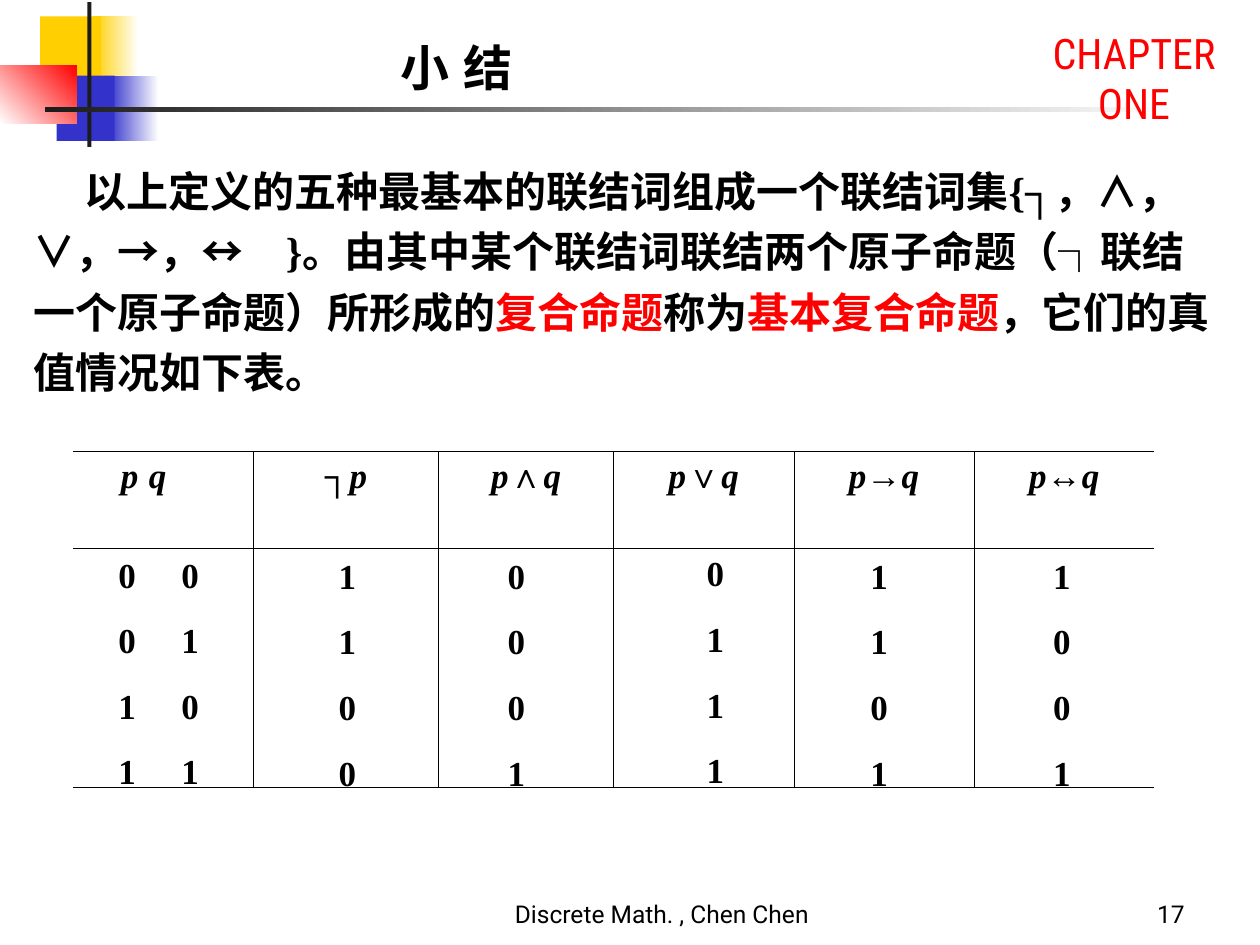
from typing import NamedTuple, Optional

from lxml.etree import SubElement
from pptx import Presentation
from pptx.dml.color import RGBColor
from pptx.enum.shapes import MSO_SHAPE
from pptx.enum.text import MSO_ANCHOR, MSO_AUTO_SIZE, PP_ALIGN
from pptx.oxml.ns import qn
from pptx.util import Pt

COLORS = {
    "black": "000000", "white": "FFFFFF", "red": "FF0000",
    "yellow": "FFCF01", "blue": "3333CC", "ink": "1C1C1C",
}
SERIF, SANS, CONDENSED = "Times New Roman", "Roboto", "Roboto Condensed"


class Box(NamedTuple):
    left: float
    top: float
    width: float
    height: float


class Block(NamedTuple):
    box: Box
    start: str
    end: Optional[str] = None
    angle: float = 0


class TruthColumn(NamedTuple):
    box: Box
    values: list[str]


def rgb(name: str) -> RGBColor:
    return RGBColor.from_string(COLORS[name])


def lengths(box: Box) -> list[Pt]:
    return [Pt(value) for value in box]


def style(paragraph, font: str, size: float, color: str = "black",
          bold: bool = False, italic: bool = False) -> None:
    paragraph.font.name = font
    paragraph.font.size = Pt(size)
    paragraph.font.color.rgb = rgb(color)
    paragraph.font.bold = bold
    paragraph.font.italic = italic


def set_layout(paragraph, tab: Optional[float] = None, indent: float = 0) -> None:
    """Remove the bullet, indent the first line and set one tab stop."""
    properties = paragraph._p.get_or_add_pPr()
    properties.set("marL", "0")
    properties.set("indent", str(Pt(indent)))
    SubElement(properties, qn("a:buNone"))
    if tab is not None:
        stops = SubElement(properties, qn("a:tabLst"))
        SubElement(stops, qn("a:tab"), pos=str(Pt(tab)), algn="l")


def place(placeholder, box: Box):
    placeholder.left, placeholder.top, placeholder.width, placeholder.height = lengths(box)
    frame = placeholder.text_frame
    frame.auto_size = MSO_AUTO_SIZE.NONE
    frame.vertical_anchor = MSO_ANCHOR.TOP
    return frame


def add_block(slide, block: Block) -> None:
    shape = slide.shapes.add_shape(MSO_SHAPE.RECTANGLE, *lengths(block.box))
    shape.shadow.inherit = False
    shape.line.fill.background()
    if block.end is None:
        shape.fill.solid()
        shape.fill.fore_color.rgb = rgb(block.start)
    else:
        shape.fill.gradient()
        shape.fill.gradient_angle = block.angle
        for stop, color in zip(shape.fill.gradient_stops, (block.start, block.end)):
            stop.color.rgb = rgb(color)


def add_label(slide, box: Box, text: str, font: str, size: float, color: str,
              align: PP_ALIGN, anchor: MSO_ANCHOR) -> None:
    frame = slide.shapes.add_textbox(*lengths(box)).text_frame
    frame.word_wrap = True
    frame.vertical_anchor = anchor
    frame.text = text
    frame.paragraphs[0].alignment = align
    style(frame.paragraphs[0], font, size, color)


def add_truth_column(slide, column: TruthColumn) -> None:
    frame = slide.shapes.add_textbox(*lengths(column.box)).text_frame
    frame.word_wrap = True
    frame.text = "\n".join(column.values)
    for row, paragraph in enumerate(frame.paragraphs):
        if row:
            paragraph.space_before = Pt(13.5)
        set_layout(paragraph, tab=35)
        style(paragraph, SERIF, 20, bold=True)


def set_borders(cell, hidden: tuple[str, ...]) -> None:
    properties = cell._tc.get_or_add_tcPr()
    for side in ("lnL", "lnR", "lnT", "lnB"):
        line = SubElement(properties, qn(f"a:{side}"), w=str(Pt(0.45)))
        if side in hidden:
            SubElement(line, qn("a:noFill"))
        else:
            fill = SubElement(line, qn("a:solidFill"))
            SubElement(fill, qn("a:srgbClr"), val=COLORS["black"])
    cell.fill.background()


def add_truth_table(slide, box: Box, widths: list[float], heights: list[float],
                    headings: list[list[str]]) -> None:
    table = slide.shapes.add_table(len(heights), len(widths), *lengths(box)).table
    table.first_row = table.horz_banding = False
    for row, height in zip(table.rows, heights):
        row.height = Pt(height)
    last = len(widths) - 1
    for index, (width, parts) in enumerate(zip(widths, headings)):
        table.columns[index].width = Pt(width)
        hidden = {0: ("lnL",), last: ("lnR",)}.get(index, ())
        for row in range(len(heights)):
            set_borders(table.cell(row, index), hidden)
        heading = table.cell(0, index).text_frame.paragraphs[0]
        if index == 0:
            set_layout(heading, tab=55, indent=20)
        else:
            heading.alignment = PP_ALIGN.CENTER
        style(heading, SERIF, 20, bold=True, italic=True)
        for part in parts:
            run = heading.add_run()
            run.text = part
            if part in "∧∨":
                run.font.italic = False


def main() -> None:
    deck = Presentation()
    deck.slide_width, deck.slide_height = Pt(720), Pt(540)
    slide = deck.slides.add_slide(deck.slide_layouts[1])

    # Corner ornament and rule
    for block in (
        Block(Box(53.3, 9.4, 25.9, 37.4), "white", "yellow", 180),
        Block(Box(61.9, 43.2, 28.8, 37.4), "white", "blue", 180),
        Block(Box(23, 9.4, 34.6, 37.4), "yellow"),
        Block(Box(32.4, 43.2, 33.1, 37.4), "blue"),
        Block(Box(0, 37.4, 43.9, 33.1), "red", "white", 225),
        Block(Box(49.9, 1.2, 2.4, 82.8), "ink"),
        Block(Box(25.9, 61.2, 648, 2.6), "white", "ink", 180),
    ):
        add_block(slide, block)

    # Chapter mark and footer
    add_label(slide, Box(576, 12.2, 144, 64.8), "CHAPTER ONE", CONDENSED, 24, "red",
              PP_ALIGN.CENTER, MSO_ANCHOR.TOP)
    add_label(slide, Box(264.2, 498.2, 228.2, 36), "Discrete Math. , Chen Chen",
              SANS, 14, "black", PP_ALIGN.CENTER, MSO_ANCHOR.BOTTOM)
    add_label(slide, Box(534.2, 498.2, 149.8, 36), "17", SANS, 14, "black",
              PP_ALIGN.RIGHT, MSO_ANCHOR.BOTTOM)

    # Title
    title = place(slide.shapes.title, Box(221.8, 18, 89.3, 41))
    title.word_wrap = False
    title.text = "小\t结"
    title.paragraphs[0].alignment = PP_ALIGN.LEFT
    set_layout(title.paragraphs[0], tab=46.3)
    style(title.paragraphs[0], SANS, 28, bold=True)

    # Definition
    definition = place(slide.placeholders[1], Box(12.2, 85, 689.8, 145.4)).paragraphs[0]
    definition.line_spacing = 1.2
    definition.space_before = Pt(0)
    set_layout(definition, tab=137, indent=29)
    style(definition, SERIF, 24, bold=True)
    for text, color in (
        ("以上定义的五种最基本的联结词组成一个联结词集{┐，∧，∨，→，↔\t}。"
         "由其中某个联结词联结两个原子命题（┐联结一个原子命题）所形成的", "black"),
        ("复合命题", "red"),
        ("称为", "black"),
        ("基本复合命题", "red"),
        ("，它们的真值情况如下表。", "black"),
    ):
        run = definition.add_run()
        run.text = text
        run.font.color.rgb = rgb(color)

    # Truth table
    add_truth_table(
        slide, Box(41.8, 257.8, 617.8, 192.2),
        widths=[103, 105.8, 100.1, 103, 103, 103], heights=[55.4, 136.8],
        headings=[["p\tq"], ["┐p"], ["p", "∧", "q"], ["p", "∨", "q"], ["p→q"], ["p↔q"]])

    # Truth values
    for column in (
        TruthColumn(Box(60.5, 312.5, 78.5, 141.1), ["0\t0", "0\t1", "1\t0", "1\t1"]),
        TruthColumn(Box(186.5, 313.2, 43.2, 141.1), list("1100")),
        TruthColumn(Box(283, 313.2, 31.7, 141.1), list("0001")),
        TruthColumn(Box(396.7, 311.8, 31.7, 141.1), list("0111")),
        TruthColumn(Box(490.3, 313.2, 39.6, 141.1), list("1101")),
        TruthColumn(Box(594.7, 313.2, 37.4, 141.1), list("1001")),
    ):
        add_truth_column(slide, column)

    deck.save("out.pptx")


if __name__ == "__main__":
    main()
